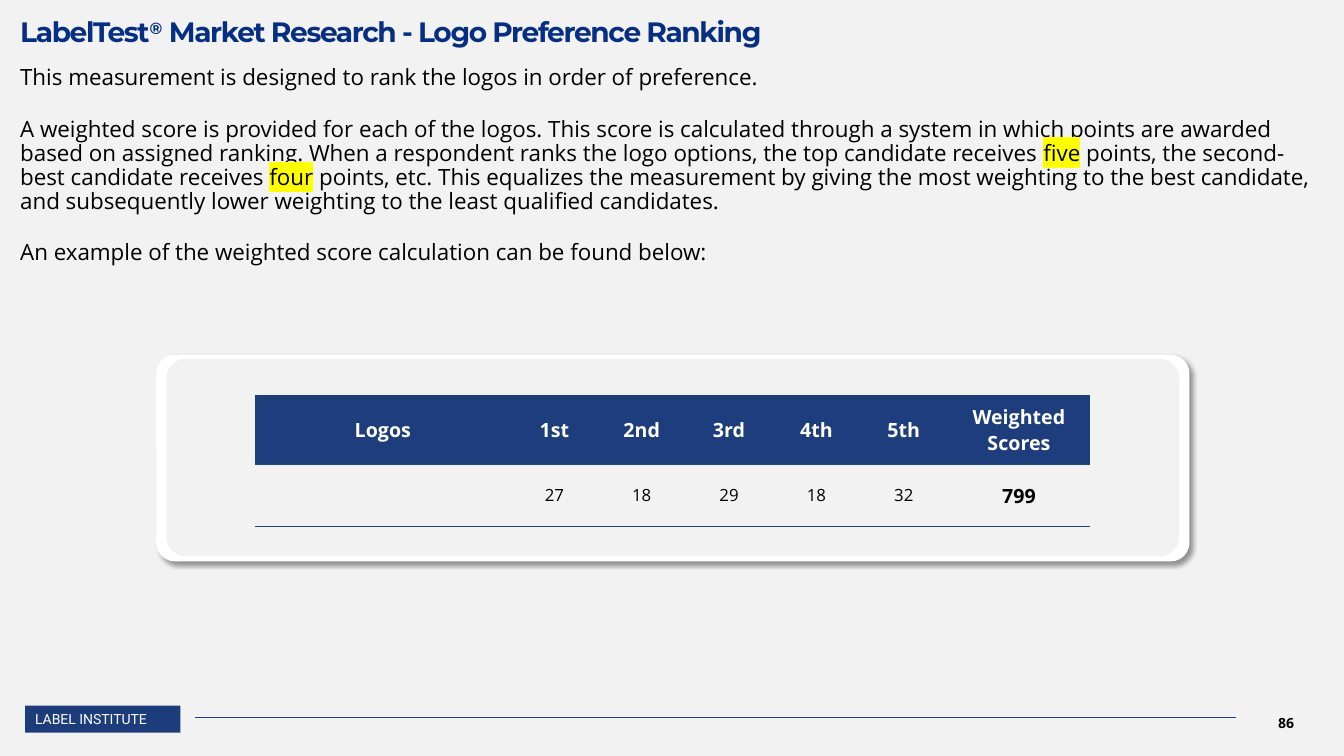
from lxml import etree
from pptx import Presentation
from pptx.dml.color import RGBColor
from pptx.enum.shapes import MSO_CONNECTOR, MSO_SHAPE
from pptx.enum.text import MSO_ANCHOR, PP_ALIGN
from pptx.oxml.ns import qn
from pptx.util import Pt

LEFT, CENTER = PP_ALIGN.LEFT, PP_ALIGN.CENTER
TOP, MIDDLE = MSO_ANCHOR.TOP, MSO_ANCHOR.MIDDLE
RECTANGLE, ROUNDED = MSO_SHAPE.RECTANGLE, MSO_SHAPE.ROUNDED_RECTANGLE
STRAIGHT = MSO_CONNECTOR.STRAIGHT

BODY_FONT = "Open Sans"
TITLE_BLUE, NAVY, HEADER_BLUE, RULE_BLUE = "062E83", "1D3C7C", "1D3D7C", "1F497D"
PALE, WHITE, BLACK, YELLOW = "F2F2F2", "FFFFFF", "000000", "FFFF00"
PLAIN_TABLE_STYLE = "{2D5ABB26-0587-4C30-8999-92F81FD0307C}"

TITLE = [("LabelTest", {}), ("®", {"baseline": 30}),
         (" Market Research - Logo Preference Ranking", {})]
EXPLANATION = [
    [("This measurement is designed to rank the logos in order of preference.", {})],
    [("A weighted score is provided for each of the logos. This score is calculated "
      "through a system in which points are awarded based on assigned ranking. When a "
      "respondent ranks the logo options, the top candidate receives ", {}),
     ("five", {"highlight": YELLOW}),
     (" points, the second-best candidate receives ", {}),
     ("four", {"highlight": YELLOW}),
     (" points, etc. This equalizes the measurement by giving the most weighting to the "
      "best candidate, and subsequently lower weighting to the least qualified "
      "candidates.", {})],
    [("An example of the weighted score calculation can be found below:", {})],
]
HEADINGS = ["Logos", "1st", "2nd", "3rd", "4th", "5th", "Weighted Scores"]
SCORES = ["", "27", "18", "29", "18", "32", "799"]
COLUMN_WIDTHS = [182.6] + [62.4] * 5 + [102.2]


def rgb(value):
    return RGBColor.from_string(value)


def add_xml(parent, tag, **attributes):
    child = etree.SubElement(parent, qn(tag))
    for name, value in attributes.items():
        child.set(name, str(value))
    return child


def add_run(paragraph, text, size=16, font=BODY_FONT, color=BLACK, bold=False,
            tracking=None, baseline=None, highlight=None):
    run = paragraph.add_run()
    run.text = text
    run.font.size, run.font.bold = Pt(size), bold
    run.font.color.rgb = rgb(color)
    properties = run.font._element
    if highlight:
        add_xml(add_xml(properties, "a:highlight"), "a:srgbClr", val=highlight)
    if tracking:
        properties.set("spc", str(tracking * 100))
    if baseline:
        properties.set("baseline", str(baseline * 1000))
    run.font.name = font


def write(frame, paragraphs, align=LEFT, anchor=TOP, margins=(0, 0, 0, 0),
          line_spacing=None, gap=0, **run_format):
    """Fill a text frame; each paragraph is a list of (text, format) runs."""
    frame.word_wrap = True
    frame.vertical_anchor = anchor
    (frame.margin_left, frame.margin_top,
     frame.margin_right, frame.margin_bottom) = map(Pt, margins)
    for index, runs in enumerate(paragraphs):
        paragraph = frame.add_paragraph() if index else frame.paragraphs[0]
        paragraph.alignment = align
        if line_spacing:
            paragraph.line_spacing = line_spacing
        if index:
            paragraph.space_before = Pt(gap)
        for text, special in runs:
            add_run(paragraph, text, **{**run_format, **special})


def add_text(slide, left, top, width, height, paragraphs, **text_format):
    box = slide.shapes.add_textbox(Pt(left), Pt(top), Pt(width), Pt(height))
    write(box.text_frame, paragraphs, **text_format)


def add_block(shapes, kind, left, top, width, height, fill, corner=None):
    block = shapes.add_shape(kind, Pt(left), Pt(top), Pt(width), Pt(height))
    block.shadow.inherit = False
    block.fill.solid()
    block.fill.fore_color.rgb = rgb(fill)
    block.line.fill.background()
    if corner is not None:
        block.adjustments[0] = corner
    return block


def add_panel(slide):
    """White rounded frame with a soft shadow around a pale inner face."""
    panel = slide.shapes.add_group_shape()
    frame = add_block(panel.shapes, ROUNDED, 111.6, 253.4, 738, 147.6, WHITE, 0.09)
    effects = frame._element.spPr.find(qn("a:effectLst"))
    shadow = add_xml(effects, "a:outerShdw", blurRad=Pt(4), dist=Pt(3),
                     dir=45 * 60000, algn="tl", rotWithShape=0)
    add_xml(add_xml(shadow, "a:srgbClr", val=BLACK), "a:alpha", val=40000)
    add_block(panel.shapes, ROUNDED, 118.8, 256.3, 723.6, 141.1, PALE, 0.1)


def add_border(cell, side):
    border = add_xml(cell._tc.get_or_add_tcPr(), side, w=Pt(0.5))
    add_xml(add_xml(border, "a:solidFill"), "a:srgbClr", val=RULE_BLUE)


def fill_cell(cell, text, fill, **text_format):
    cell.fill.solid()
    cell.fill.fore_color.rgb = rgb(fill)
    cell.vertical_anchor = MIDDLE
    cell.margin_left = cell.margin_right = cell.margin_top = cell.margin_bottom = 0
    paragraph = cell.text_frame.paragraphs[0]
    paragraph.alignment = CENTER
    if text:
        add_run(paragraph, text, **text_format)


def add_score_table(slide):
    table = slide.shapes.add_table(2, len(HEADINGS), Pt(182.2), Pt(282.2),
                                   Pt(sum(COLUMN_WIDTHS)), Pt(93.6)).table
    table.first_row = table.horz_banding = False
    table._tbl.tblPr.find(qn("a:tableStyleId")).text = PLAIN_TABLE_STYLE
    table.rows[0].height, table.rows[1].height = Pt(49.7), Pt(43.9)
    for index, width in enumerate(COLUMN_WIDTHS):
        table.columns[index].width = Pt(width)
        fill_cell(table.cell(0, index), HEADINGS[index], HEADER_BLUE,
                  size=14, color=WHITE, bold=True)
        score = table.cell(1, index)
        for side in ("a:lnT", "a:lnB"):
            add_border(score, side)
        is_total = index == len(SCORES) - 1
        fill_cell(score, SCORES[index], PALE, size=14 if is_total else 12, bold=is_total)


def add_footer(slide):
    label = add_block(slide.shapes, RECTANGLE, 18, 504, 110.9, 19.4, NAVY)
    write(label.text_frame, [[("LABEL INSTITUTE", {})]], anchor=MIDDLE,
          margins=(7.2, 0, 0, 0), size=10, font="Roboto", color=WHITE)
    rule = slide.shapes.add_connector(STRAIGHT, Pt(139), Pt(512.6), Pt(882.7), Pt(512.6))
    rule.line.color.rgb = rgb(NAVY)
    rule.line.width = Pt(0.5)
    add_xml(rule._element.spPr, "a:effectLst")
    add_text(slide, 879.1, 501.8, 79.2, 28.8, [[("86", {})]], align=CENTER,
             anchor=MIDDLE, size=10, bold=True)


def main():
    deck = Presentation()
    deck.slide_width, deck.slide_height = Pt(960), Pt(540)
    slide = deck.slides.add_slide(deck.slide_layouts[5])
    slide.background.fill.solid()
    slide.background.fill.fore_color.rgb = rgb(PALE)

    title = slide.shapes.title
    title.left, title.top, title.width, title.height = Pt(14.4), Pt(0), Pt(923), Pt(34.6)
    write(title.text_frame, [TITLE], margins=(0, 15.1, 0, 0), line_spacing=0.8,
          size=20, font="Montserrat", color=TITLE_BLUE, bold=True, tracking=-1)
    add_text(slide, 14.4, 47.5, 923, 154.8, EXPLANATION, line_spacing=0.9, gap=19.4)
    add_panel(slide)
    add_score_table(slide)
    add_footer(slide)
    deck.save("out.pptx")


if __name__ == "__main__":
    main()
